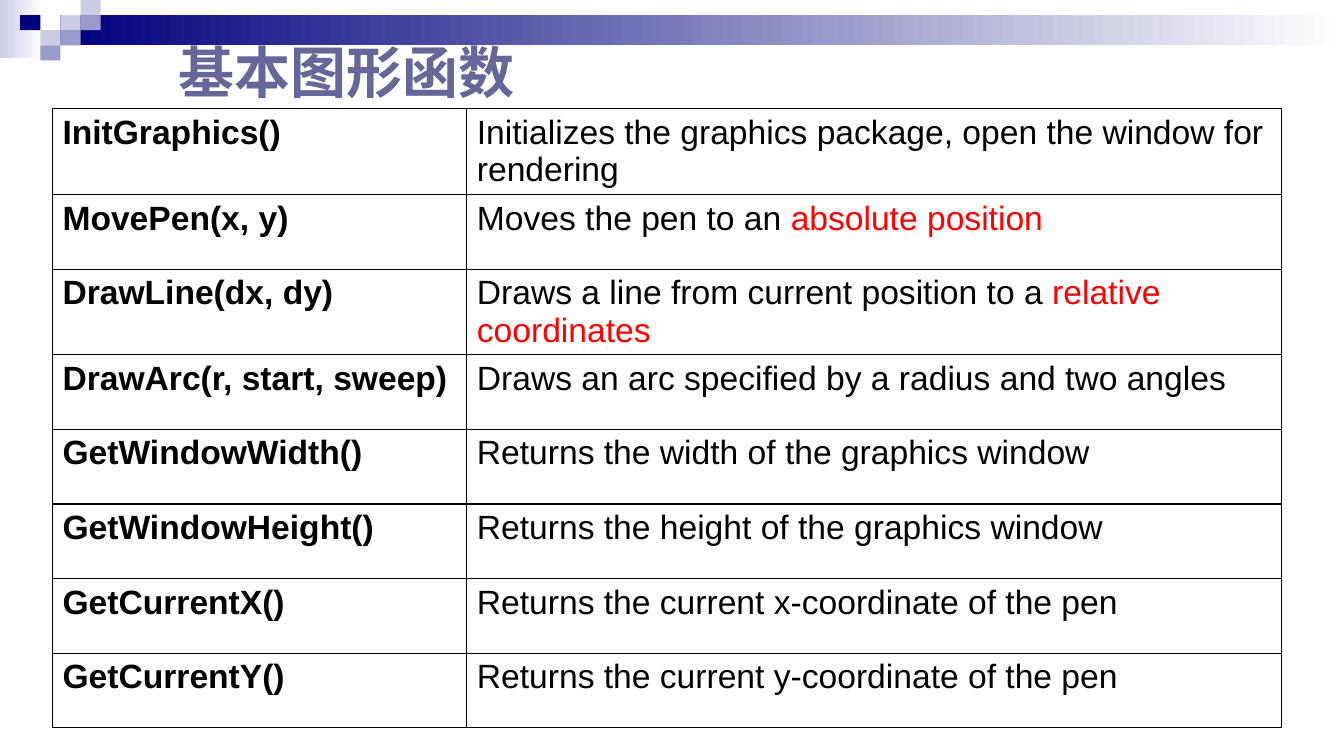
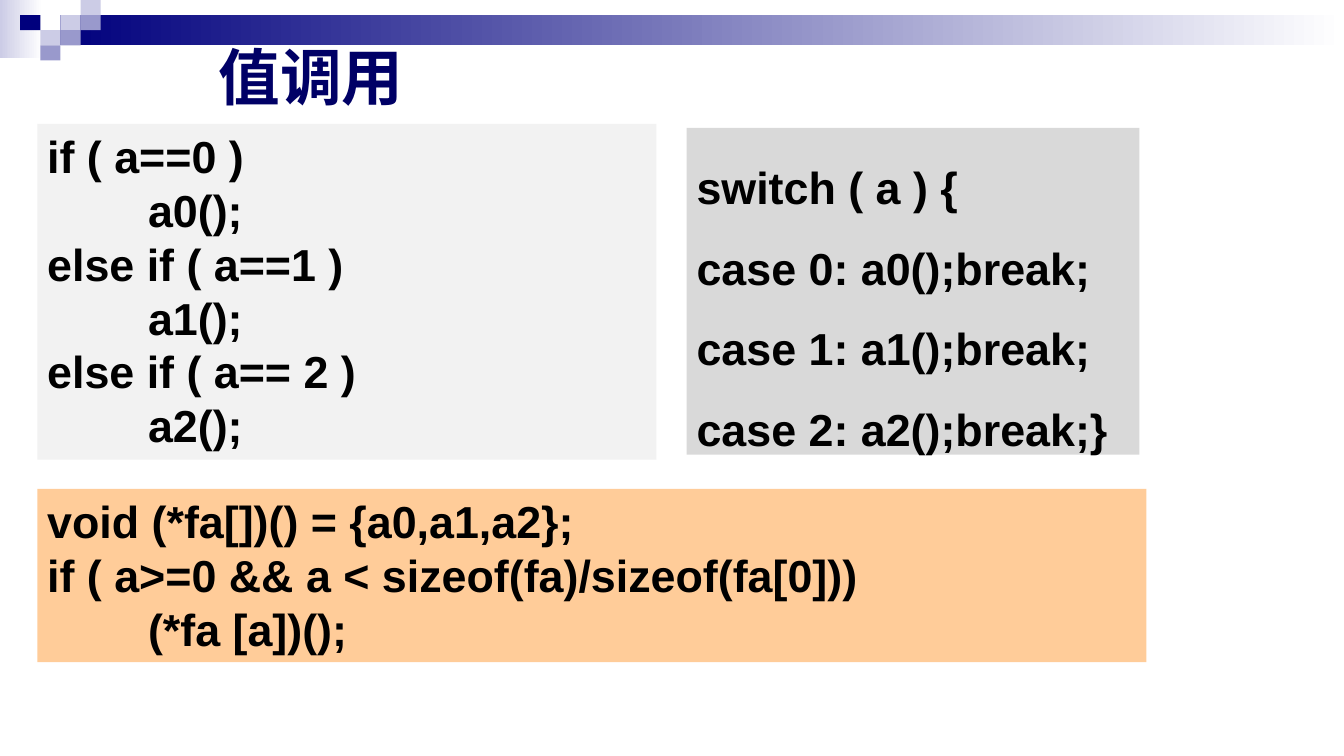
from lxml import etree
from pptx import Presentation
from pptx.dml.color import RGBColor
from pptx.enum.shapes import MSO_SHAPE
from pptx.enum.text import MSO_ANCHOR, MSO_AUTO_SIZE, PP_ALIGN
from pptx.oxml.ns import qn
from pptx.util import Inches, Pt

LATIN, CJK = "Arial", "Noto Sans CJK SC"
NAVY, LILAC, PALE = "00007D", "9999CC", "CCCCE6"
BLACK, WHITE, RED = "000000", "FFFFFF", "FF0000"

# Gradient bars: box, start colour
BARS = [((0, 0, 0.42, 0.58), PALE), ((0.6, 0.15, 12.73, 0.3), NAVY)]
# Corner squares: column, row, colour
SQUARE_W, SQUARE_H = 0.2, 0.15
SQUARES = [(3, 1, PALE), (4, 0, PALE), (4, 1, LILAC), (2, 2, PALE),
           (1, 1, NAVY), (3, 2, LILAC), (2, 3, LILAC)]

# Function name, description, part of the description in red
FUNCTIONS = [
    ("InitGraphics()",
     "Initializes the graphics package, open the window for rendering", ""),
    ("MovePen(x, y)", "Moves the pen to an ", "absolute position"),
    ("DrawLine(dx, dy)", "Draws a line from current position to a ",
     "relative coordinates"),
    ("DrawArc(r, start, sweep)",
     "Draws an arc specified by a radius and two angles", ""),
    ("GetWindowWidth()", "Returns the width of the graphics window", ""),
    ("GetWindowHeight()", "Returns the height of the graphics window", ""),
    ("GetCurrentX()", "Returns the current x-coordinate of the pen", ""),
    ("GetCurrentY()", "Returns the current y-coordinate of the pen", ""),
]

IF_CODE = ["if ( a==0 )", "\ta0();", "else if ( a==1 )", "\ta1();",
           "else if ( a== 2 )", "\ta2();"]
SWITCH_CODE = ["switch ( a ) {", "case 0: a0();break;",
               "case 1: a1();break;", "case 2: a2();break;}"]
POINTER_CODE = ["void (*fa[])() = {a0,a1,a2};",
                "if ( a>=0 && a < sizeof(fa)/sizeof(fa[0]))",
                "\t(*fa [a])();"]


def rgb(color):
    return RGBColor.from_string(color)


def inches(box):
    return [Inches(v) for v in box]


def add_run(p, text, size, color, bold=True, name=LATIN):
    r = p.add_run()
    r.text = text
    fmt = {"size": Pt(size), "bold": bold, "name": name}
    for key, value in fmt.items():
        setattr(r.font, key, value)
    r.font.color.rgb = rgb(color)
    etree.SubElement(r._r.get_or_add_rPr(), qn("a:ea"), typeface=CJK)


def add_rect(s, box, color, fade=False):
    sp = s.shapes.add_shape(MSO_SHAPE.RECTANGLE, *inches(box))
    sp.shadow.inherit = False
    sp.line.fill.background()
    if fade:
        sp.fill.gradient()
        sp.fill.gradient_angle = 0
        for stop, c in zip(sp.fill.gradient_stops, (color, WHITE)):
            stop.color.rgb = rgb(c)
    else:
        sp.fill.solid()
        sp.fill.fore_color.rgb = rgb(color)
    return sp


def add_band(s):
    for box, color in BARS:
        add_rect(s, box, color, fade=True)
    for col, row, color in SQUARES:
        add_rect(s, (col * SQUARE_W, row * SQUARE_H, SQUARE_W, SQUARE_H), color)


def add_title(s, box, text, size, color, name):
    tf = s.shapes.add_textbox(*inches(box)).text_frame
    tf.word_wrap = True
    tf.vertical_anchor = MSO_ANCHOR.MIDDLE
    add_run(tf.paragraphs[0], text, size, color, name=name)


def titled_slide(prs, *title):
    s = prs.slides.add_slide(prs.slide_layouts[6])
    add_band(s)
    add_title(s, *title)
    return s


def format_cell(cell):
    cell.margin_bottom = 0
    cell.fill.background()
    tcPr = cell._tc.get_or_add_tcPr()
    for i, side in enumerate(("lnL", "lnR", "lnT", "lnB")):
        ln = etree.Element(qn("a:" + side), w=str(Pt(1)))
        fill = etree.SubElement(ln, qn("a:solidFill"))
        etree.SubElement(fill, qn("a:srgbClr"), val=BLACK)
        tcPr.insert(i, ln)  # borders come before the fill


def add_function_table(s, box, col_widths, size=24):
    table = s.shapes.add_table(len(FUNCTIONS), 2, *inches(box)).table
    table.first_row = table.horz_banding = False
    for column, width in zip(table.columns, col_widths):
        column.width = Inches(width)
    for row, (name, description, marked) in zip(table.rows, FUNCTIONS):
        for cell in row.cells:
            format_cell(cell)
        name_p, text_p = [c.text_frame.paragraphs[0] for c in row.cells]
        add_run(name_p, name, size, BLACK)
        add_run(text_p, description, size, BLACK, bold=False)
        if marked:
            add_run(text_p, marked, size, RED, bold=False)


def add_tab_stop(p, position):
    tabs = etree.SubElement(p._p.get_or_add_pPr(), qn("a:tabLst"))
    etree.SubElement(tabs, qn("a:tab"), pos=str(Inches(position)), algn="l")


def add_code(s, box, color, lines, spacing=1.0, size=32):
    tf = add_rect(s, box, color).text_frame
    fmt = {"word_wrap": True, "auto_size": MSO_AUTO_SIZE.NONE,
           "vertical_anchor": MSO_ANCHOR.TOP}
    for key, value in fmt.items():
        setattr(tf, key, value)
    for i, line in enumerate(lines):
        p = tf.add_paragraph() if i else tf.paragraphs[0]
        p.alignment = PP_ALIGN.LEFT
        p.line_spacing = spacing
        if line.startswith("\t"):
            add_tab_stop(p, 1)
        add_run(p, line, size, BLACK)


def functions_slide(prs):
    s = titled_slide(prs, (1.67, 0.08, 10, 1.25), "基本图形函数", 40,
                     "666699", LATIN)
    add_function_table(s, (0.52, 1.08, 12.19, 5.92), (4.11, 8.08))


def calls_slide(prs):
    s = titled_slide(prs, (2.07, 0.13, 9.17, 1.25), "值调用", 44,
                     "000066", CJK)
    add_code(s, (0.37, 1.23, 6.14, 3.33), "F2F2F2", IF_CODE)
    add_code(s, (6.81, 1.27, 4.49, 3.24), "D9D9D9", SWITCH_CODE, spacing=1.5)
    add_code(s, (0.37, 4.85, 11, 1.72), "FFCC99", POINTER_CODE)


def main():
    prs = Presentation()
    prs.slide_width, prs.slide_height = Inches(13.33), Inches(7.5)
    functions_slide(prs)
    calls_slide(prs)
    prs.save("out.pptx")


if __name__ == "__main__":
    main()
